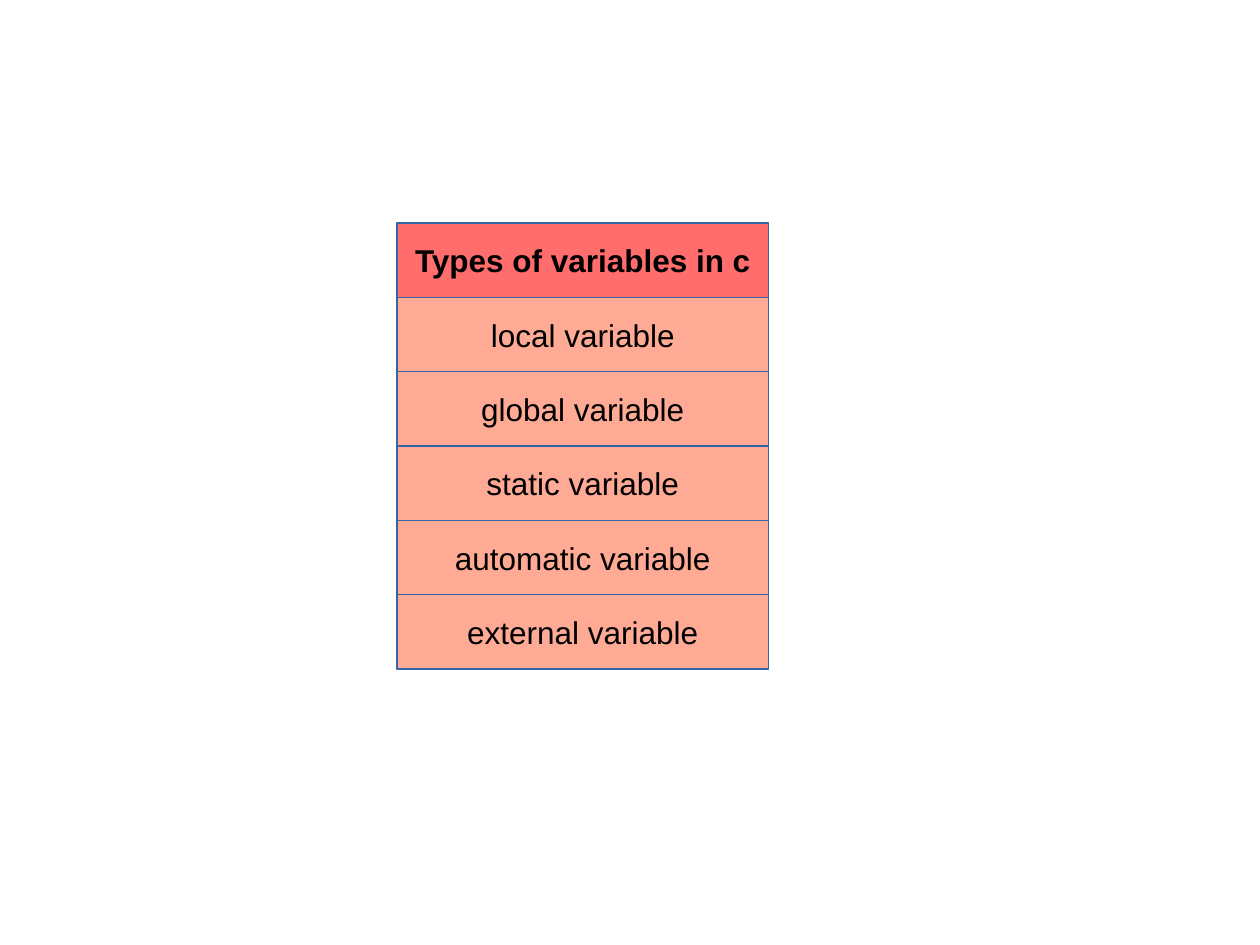
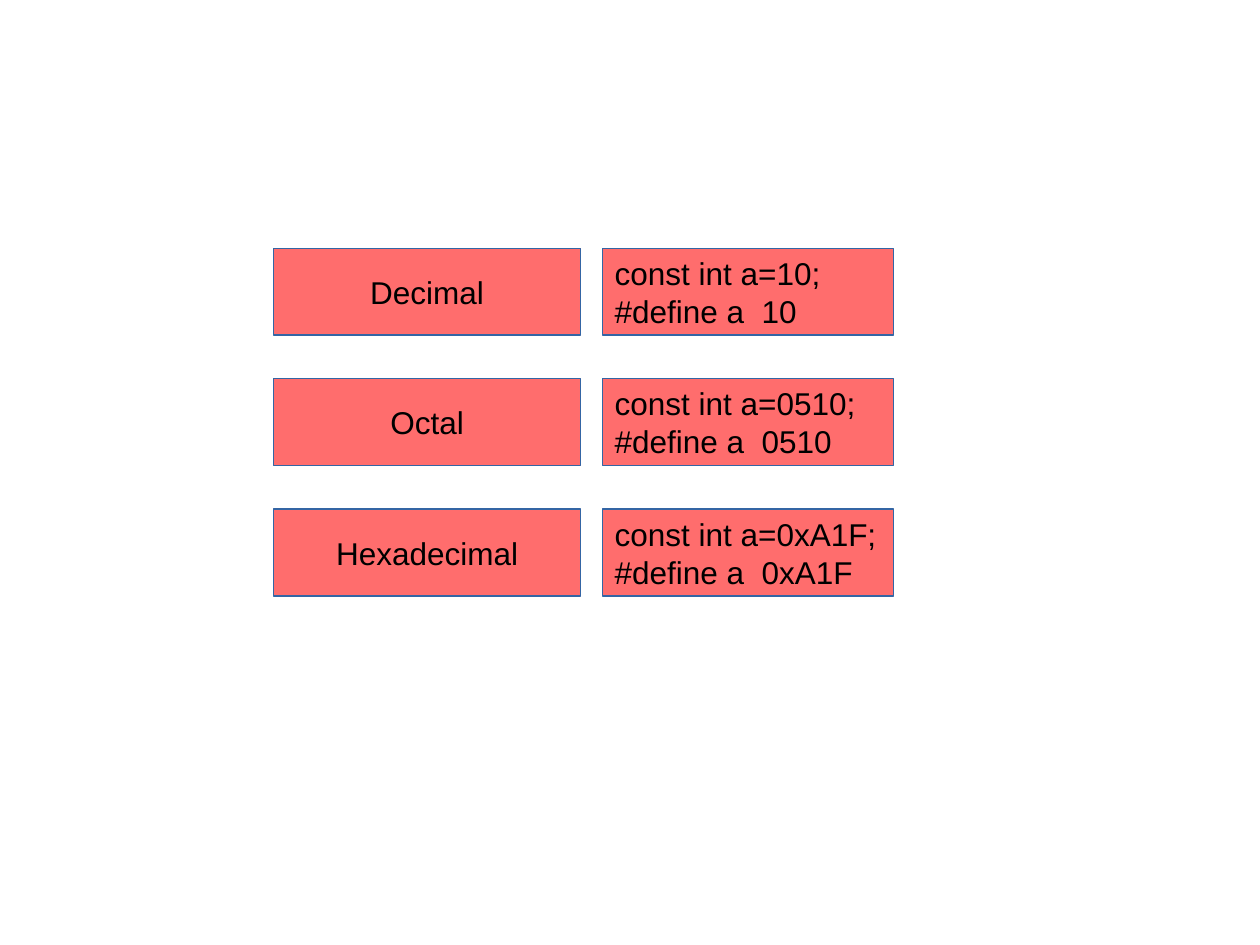
import pptx
import pptx.util
import pptx.dml.color
import pptx.enum.shapes
import pptx.enum.text

VARIABLE_HEADING = "Types of variables in c"
VARIABLE_TYPES = ["local variable", "global variable", "static variable",
                  "automatic variable", "external variable"]
CONSTANTS = [("Decimal", "10"), ("Octal", "0510"), ("Hexadecimal", "0xA1F")]

COLOURS = {"strong": "FF6D6D", "soft": "FFAA95", "outline": "3465A4", "text": "000000"}
FONT = "Arial"
TEXT_SIZE = 18
SLIDE_WIDTH, SLIDE_HEIGHT = 10, 7.5

LIST_LEFT, LIST_TOP = 3.15, 1.77
LIST_WIDTH, LIST_ROW = 2.95, 0.59

GRID_TOP, GRID_PITCH, GRID_BOX = 1.97, 1.035, 0.69
NAME_LEFT, NAME_WIDTH = 2.17, 2.44
CODE_LEFT, CODE_WIDTH = 4.78, 2.31

CENTRE = pptx.enum.text.PP_ALIGN.CENTER
LEFT = pptx.enum.text.PP_ALIGN.LEFT


def colour(name):
    return pptx.dml.color.RGBColor.from_string(COLOURS[name])


def add_box(shapes, text, left, top, width, height, fill="strong", align=CENTRE, bold=False):
    box = shapes.add_shape(pptx.enum.shapes.MSO_SHAPE.RECTANGLE,
                           *map(pptx.util.Inches, (left, top, width, height)))
    box.shadow.inherit = False
    box.fill.solid()
    box.fill.fore_color.rgb = colour(fill)
    box.line.color.rgb = colour("outline")
    box.line.width = pptx.util.Pt(0)
    frame = box.text_frame
    frame.word_wrap = True
    frame.vertical_anchor = pptx.enum.text.MSO_ANCHOR.MIDDLE
    frame.text = text
    for para in frame.paragraphs:
        para.alignment = align
        for span in para.runs:
            span.font.name = FONT
            span.font.size = pptx.util.Pt(TEXT_SIZE)
            span.font.bold = bold
            span.font.color.rgb = colour("text")


def add_page(deck):
    return deck.slides.add_slide(deck.slide_layouts[6])


def build_variable_types(deck):
    group = add_page(deck).shapes.add_group_shape()
    for row, name in enumerate(VARIABLE_TYPES, start=1):
        add_box(group.shapes, name, LIST_LEFT, LIST_TOP + row * LIST_ROW,
                LIST_WIDTH, LIST_ROW, fill="soft")
    add_box(group.shapes, VARIABLE_HEADING, LIST_LEFT, LIST_TOP,
            LIST_WIDTH, LIST_ROW, bold=True)


def build_constants(deck):
    page = add_page(deck)
    for row, (name, value) in enumerate(CONSTANTS):
        top = GRID_TOP + row * GRID_PITCH
        code = f"const int a={value};\n#define a  {value}"
        add_box(page.shapes, name, NAME_LEFT, top, NAME_WIDTH, GRID_BOX)
        add_box(page.shapes, code, CODE_LEFT, top, CODE_WIDTH, GRID_BOX, align=LEFT)


def main():
    deck = pptx.Presentation()
    deck.slide_width = pptx.util.Inches(SLIDE_WIDTH)
    deck.slide_height = pptx.util.Inches(SLIDE_HEIGHT)
    build_variable_types(deck)
    build_constants(deck)
    deck.save("out.pptx")


if __name__ == "__main__":
    main()
